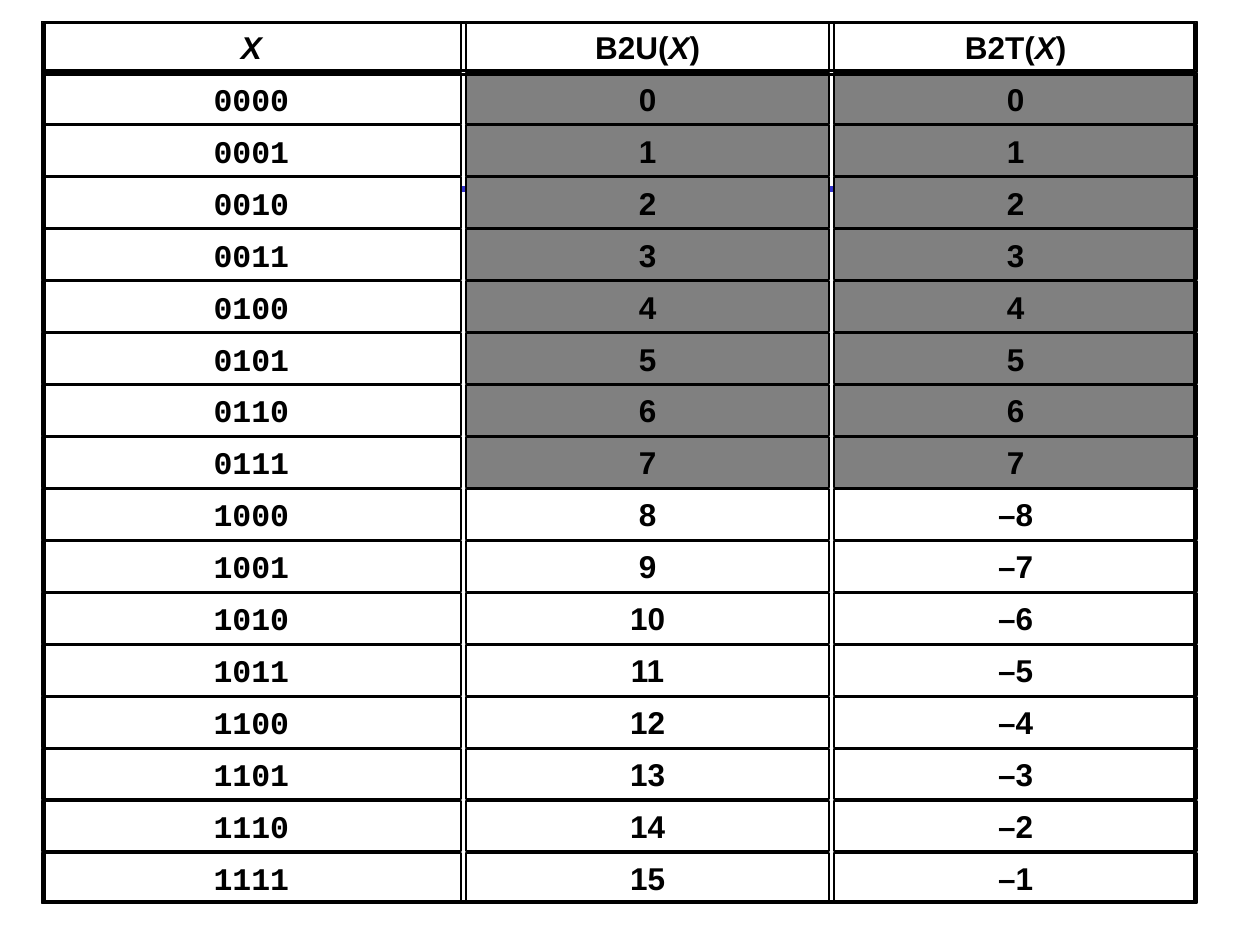
from lxml import etree
from pptx import Presentation
from pptx import util as u
from pptx.dml.color import RGBColor
from pptx.enum import shapes, text
from pptx.oxml.ns import qn

COLORS = {"ink": "000000", "paper": "FFFFFF", "shared": "808080", "rule": "3333CC"}
COLUMNS = {"X": (0.33, 3.33), "B2U": (3.7, 2.88), "B2T": (6.62, 2.88)}
BITS = 4
CODES = 2 ** BITS
TOP, LAST_TOP, ROW_HEIGHT = 0.17, 6.77, 0.4
ROW_PITCH = (LAST_TOP - TOP) / CODES
FRAMES = [(0.35, 0.18, 9.13, 0.38), (0.35, 0.59, 9.13, 6.57)]
CELL_TEXT = {"word_wrap": False, "vertical_anchor": text.MSO_ANCHOR.MIDDLE}
CELL_FONT = {"size": u.Pt(18), "bold": True}


def rgb(color):
    return RGBColor.from_string(COLORS[color])


def apply(target, formats):
    for name, value in formats.items():
        setattr(target, name, value)


def add_rule(slide):
    rule = slide.shapes.add_connector(
        shapes.MSO_CONNECTOR.STRAIGHT,
        u.Inches(0.5), u.Inches(1.5), u.Inches(9.33), u.Inches(1.5))
    rule.line.color.rgb = rgb("rule")
    rule.line.width = u.Pt(3)
    etree.SubElement(rule._element.spPr, qn("a:effectLst"))


def add_box(grid, bounds, line_width, fill=None):
    box = grid.shapes.add_shape(
        shapes.MSO_SHAPE.RECTANGLE, *(u.Inches(length) for length in bounds))
    box.shadow.inherit = False
    box.line.color.rgb = rgb("ink")
    box.line.width = u.Pt(line_width)
    if fill:
        box.fill.solid()
        box.fill.fore_color.rgb = rgb(fill)
    else:
        box.fill.background()
    return box


def add_cell(grid, column, row, parts, font="Arial", fill="paper"):
    left, width = COLUMNS[column]
    cell = add_box(grid, (left, TOP + row * ROW_PITCH, width, ROW_HEIGHT), 1, fill)
    apply(cell.text_frame, CELL_TEXT)
    paragraph = cell.text_frame.paragraphs[0]
    paragraph.alignment = text.PP_ALIGN.CENTER
    for part in parts:
        run = paragraph.add_run()
        run.text = part
        apply(run.font, {**CELL_FONT, "name": font, "italic": part == "X"})
        run.font.color.rgb = rgb("ink")


def add_header(grid):
    add_cell(grid, "X", 0, ["X"])
    for mapping in ("B2U", "B2T"):
        add_cell(grid, mapping, 0, [f"{mapping}(", "X", ")"])


def add_code_row(grid, unsigned):
    row = unsigned + 1
    non_negative = unsigned < CODES // 2
    signed = str(unsigned) if non_negative else f"–{CODES - unsigned}"
    fill = "shared" if non_negative else "paper"
    add_cell(grid, "X", row, [f"{unsigned:0{BITS}b}"], font="Courier New")
    add_cell(grid, "B2U", row, [str(unsigned)], fill=fill)
    add_cell(grid, "B2T", row, [signed], fill=fill)


def main():
    deck = Presentation()
    apply(deck, {"slide_width": u.Inches(10), "slide_height": u.Inches(7.5)})
    slide = deck.slides.add_slide(deck.slide_layouts[6])
    add_rule(slide)
    grid = slide.shapes.add_group_shape()
    add_header(grid)
    for unsigned in range(CODES):
        add_code_row(grid, unsigned)
    for bounds in FRAMES:
        add_box(grid, bounds, 2)
    deck.save("out.pptx")


if __name__ == "__main__":
    main()
